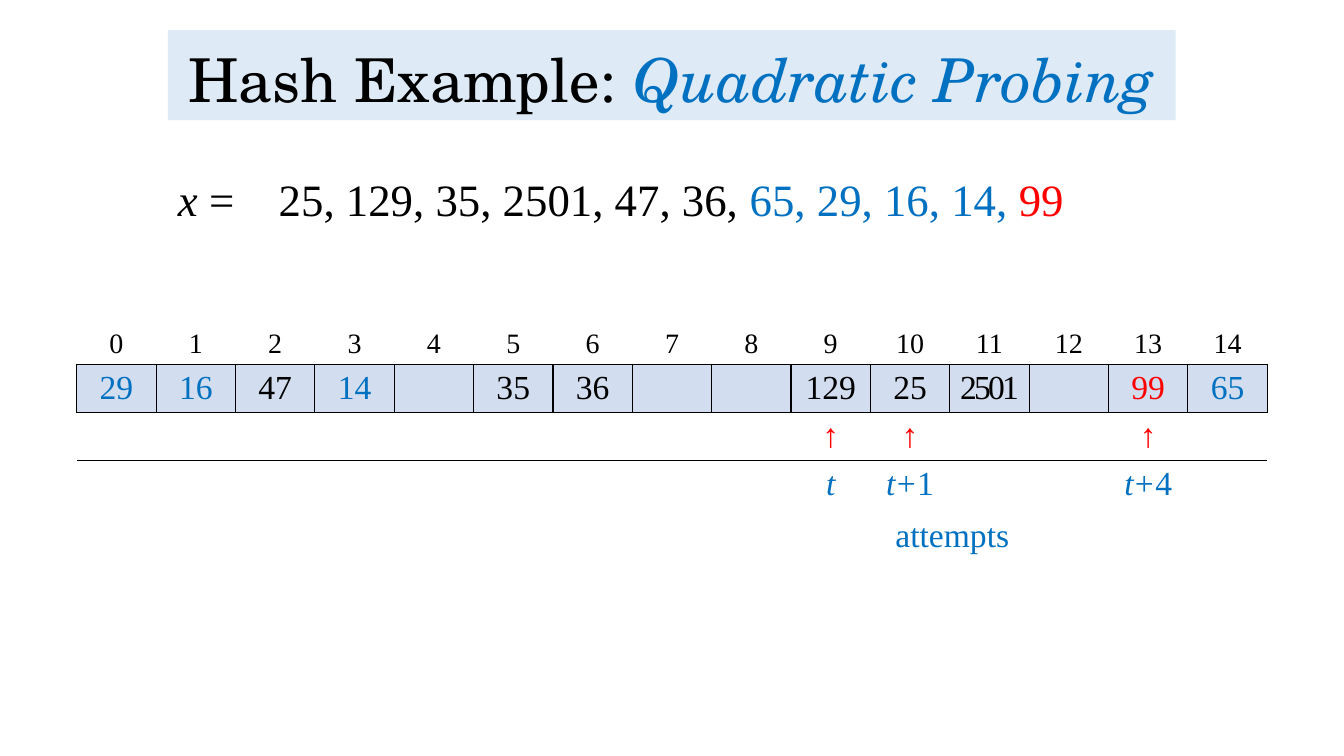
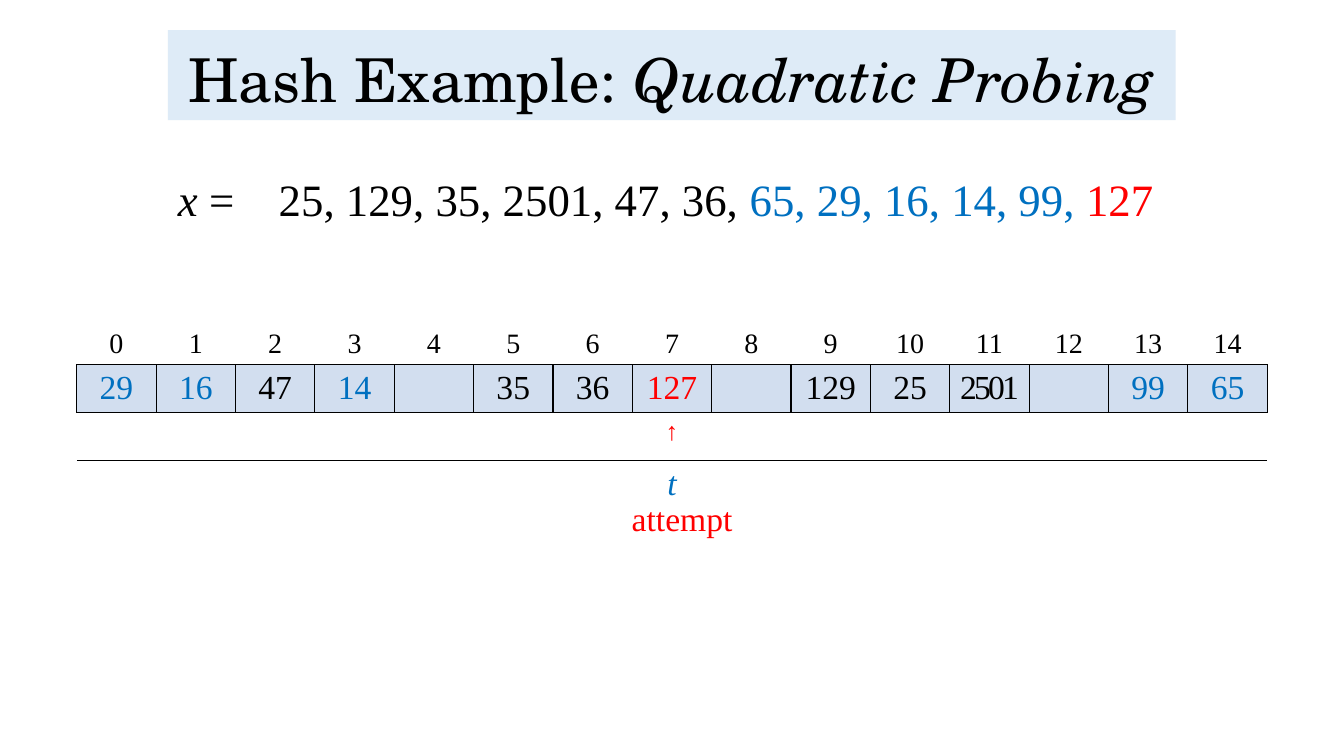
from lxml import etree
from pptx import Presentation
from pptx import util as u
from pptx.dml.color import RGBColor
from pptx.enum import text
from pptx.oxml import ns

BLACK = RGBColor(0x00, 0x00, 0x00)
BLUE = RGBColor(0x00, 0x70, 0xC0)
RED = RGBColor(0xFF, 0x00, 0x00)
TITLE_BAND = RGBColor(0xDE, 0xEB, 0xF7)
SLOT_FILL = RGBColor(0xD2, 0xDE, 0xEF)

TITLE_FONT = "TeX Gyre Schola"
BODY_FONT = "Times New Roman"
PLAIN_TABLE_STYLE = "{2D5ABB26-0587-4C30-8999-92F81FD0307C}"

SLIDE_WIDTH, SLIDE_HEIGHT = 33.87, 19.05
TITLE_BOX = (4.23, 0.76, 25.4, 2.27)
KEYS_BOX = (4.23, 4.19, 25.4, 12.24)
CAPTION_SIZE = (4.62, 1.27)
SLOT_COUNT = 15
SLOT_WIDTH = 2
ROW_HEIGHTS = (1.04, 1.21, 1.21, 1.21)
TABLE_TOP = 8.15
ROW_BORDERS = ("B", "LRTB", "T", "")

INITIAL_KEYS = ["25", "129", "35", "2501", "47", "36"]
INITIAL_SLOTS = {0: "29", 1: "16", 2: "47", 3: "14", 5: "35", 6: "36",
                 9: "129", 10: "25", 11: "2501", 13: "99", 14: "65"}

SLIDES = [
    {"title_color": BLUE, "probed": ["65", "29", "16", "14"], "newest": "99",
     "slots": INITIAL_SLOTS, "probes": {9: "", 10: "1", 13: "4"},
     "arrow_size": 24, "caption": ("attempts", BLUE, 21.69, 12.83)},
    {"title_color": BLACK, "probed": ["65", "29", "16", "14", "99"],
     "newest": "127", "slots": {**INITIAL_SLOTS, 7: "127"},
     "probes": {7: ""}, "arrow_size": 18,
     "caption": ("attempt", RED, 14.88, 12.42)},
]


def place(shape, box):
    for name, value in zip(("left", "top", "width", "height"), box):
        setattr(shape, name, u.Cm(value))


def add_run(paragraph, words, size, color=BLACK, spacing=0, **extra):
    run = paragraph.add_run()
    run.text = words
    formats = {"name": BODY_FONT, "size": u.Pt(size), **extra}
    for name, value in formats.items():
        setattr(run.font, name, value)
    run.font.color.rgb = color
    if spacing:
        run.font._element.set("spc", str(spacing * 100))


def format_paragraph(paragraph, **formats):
    for name, value in {"space_before": u.Pt(0), **formats}.items():
        setattr(paragraph, name, value)
    return paragraph


def fill_title(slide, color):
    title = slide.shapes.title
    place(title, TITLE_BOX)
    title.fill.solid()
    title.fill.fore_color.rgb = TITLE_BAND
    frame = title.text_frame
    frame.auto_size = text.MSO_AUTO_SIZE.NONE
    frame.vertical_anchor = text.MSO_ANCHOR.BOTTOM
    paragraph = format_paragraph(
        frame.paragraphs[0], alignment=text.PP_ALIGN.CENTER, line_spacing=0.9)
    add_run(paragraph, "Hash Example: ", 43.2, name=TITLE_FONT)
    add_run(paragraph, "Quadratic Probing", 43.2, color,
            name=TITLE_FONT, italic=True)


def fill_keys(slide, probed, newest):
    subtitle = slide.placeholders[1]
    place(subtitle, KEYS_BOX)
    frame = subtitle.text_frame
    frame.auto_size = text.MSO_AUTO_SIZE.NONE
    frame.vertical_anchor = text.MSO_ANCHOR.TOP
    paragraph = format_paragraph(
        frame.paragraphs[0], alignment=text.PP_ALIGN.LEFT)
    add_run(paragraph, "x", 32, italic=True)
    add_run(paragraph, " =\t" + ", ".join(INITIAL_KEYS) + ", ", 32)
    add_run(paragraph, ", ".join(probed) + ", ", 32, BLUE)
    add_run(paragraph, newest, 32, RED)


def add_borders(cell, sides):
    properties = cell._tc.get_or_add_tcPr()
    for side in sides:
        line = etree.SubElement(properties, ns.qn("a:ln" + side), w="12700")
        solid = etree.SubElement(line, ns.qn("a:solidFill"))
        etree.SubElement(solid, ns.qn("a:srgbClr"), val=str(BLACK))


def centred(cell):
    return format_paragraph(cell.text_frame.paragraphs[0],
                            alignment=text.PP_ALIGN.CENTER)


def add_plain_table(slide):
    width = SLOT_COUNT * SLOT_WIDTH
    box = ((SLIDE_WIDTH - width) / 2, TABLE_TOP, width, sum(ROW_HEIGHTS))
    table = slide.shapes.add_table(
        len(ROW_HEIGHTS), SLOT_COUNT, *map(u.Cm, box)).table
    table.first_row = table.horz_banding = False
    table._tbl.tblPr.find(ns.qn("a:tableStyleId")).text = PLAIN_TABLE_STYLE
    for row, height, sides in zip(table.rows, ROW_HEIGHTS, ROW_BORDERS):
        row.height = u.Cm(height)
        for cell in row.cells:
            add_borders(cell, sides)
            cell.fill.background()
    return table


def add_hash_table(slide, slots, probed, newest, probes, arrow_size):
    table = add_plain_table(slide)
    colors = {**dict.fromkeys(probed, BLUE), newest: RED}
    for index in range(SLOT_COUNT):
        header, slot, arrow, label = (
            table.cell(row, index) for row in range(len(ROW_HEIGHTS)))
        add_run(centred(header), str(index), 20)
        slot.fill.solid()
        slot.fill.fore_color.rgb = SLOT_FILL
        if index in slots:
            key = slots[index]
            add_run(centred(slot), key, 24, colors.get(key, BLACK),
                    spacing=-2 if len(key) > 3 else 0)
        if index in probes:
            add_run(centred(arrow), "↑", arrow_size, RED)
            paragraph = centred(label)
            add_run(paragraph, "t", 24, BLUE, spacing=1, italic=True)
            if probes[index]:
                add_run(paragraph, "+", 24, BLUE, spacing=1)
                add_run(paragraph, probes[index], 24, BLUE)


def add_caption(slide, words, color, left, top):
    box = slide.shapes.add_textbox(*map(u.Cm, (left, top, *CAPTION_SIZE)))
    frame = box.text_frame
    frame.word_wrap = True
    frame.auto_size = text.MSO_AUTO_SIZE.SHAPE_TO_FIT_TEXT
    paragraph = format_paragraph(
        frame.paragraphs[0], alignment=text.PP_ALIGN.CENTER)
    add_run(paragraph, words, 24, color)


def main():
    presentation = Presentation()
    presentation.slide_width = u.Cm(SLIDE_WIDTH)
    presentation.slide_height = u.Cm(SLIDE_HEIGHT)
    for content in SLIDES:
        slide = presentation.slides.add_slide(presentation.slide_layouts[0])
        fill_title(slide, content["title_color"])
        fill_keys(slide, content["probed"], content["newest"])
        add_hash_table(slide, content["slots"], content["probed"],
                       content["newest"], content["probes"],
                       content["arrow_size"])
        add_caption(slide, *content["caption"])
    presentation.save("out.pptx")


if __name__ == "__main__":
    main()
